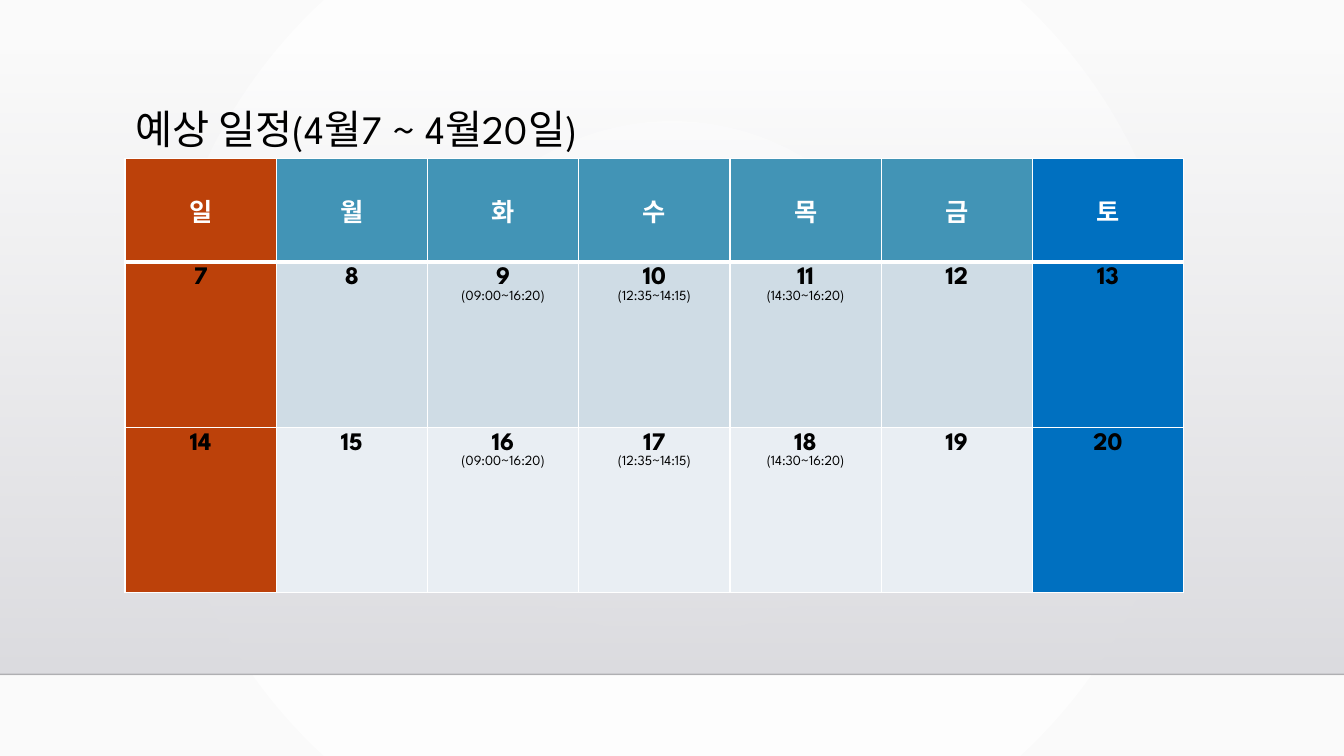
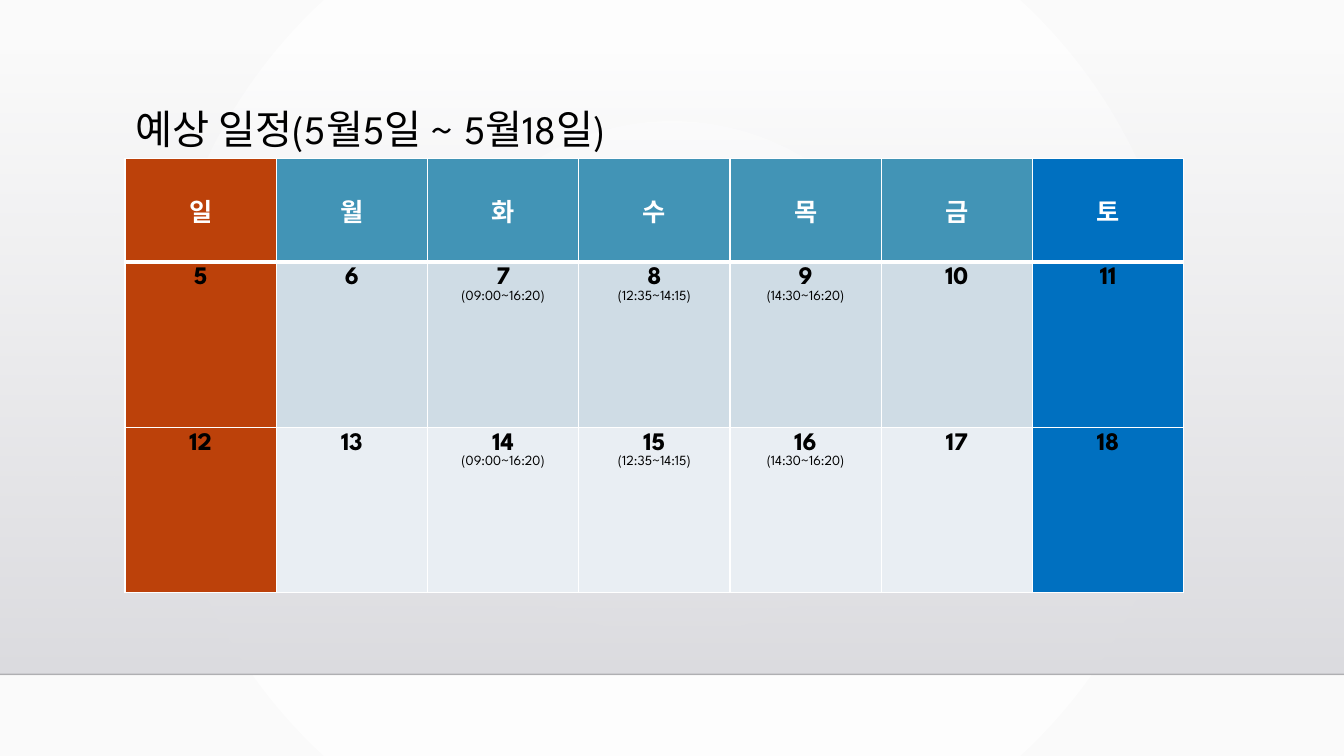
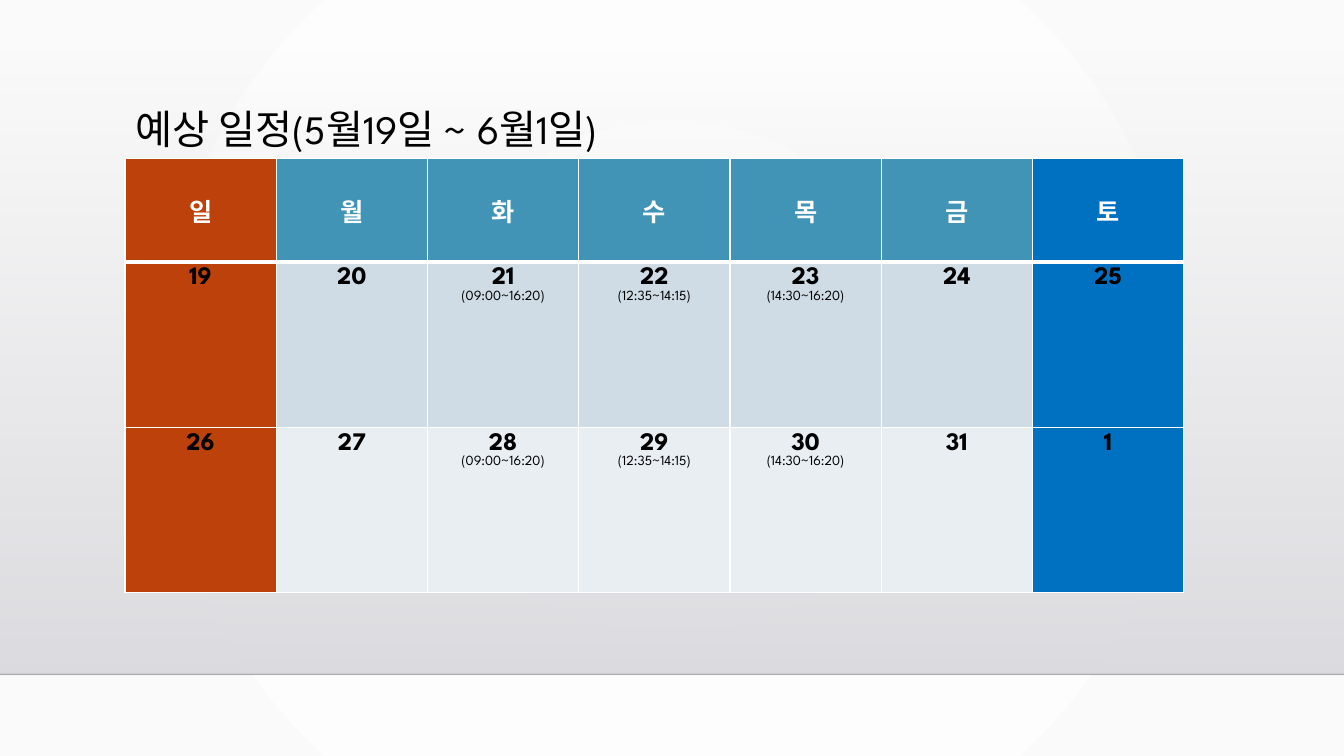
import pptx
import pptx.dml.color
import pptx.enum.shapes
import pptx.enum.text
import pptx.oxml
import pptx.oxml.ns
import pptx.util

Inches = pptx.util.Inches
Pt = pptx.util.Pt
RGBColor = pptx.dml.color.RGBColor
Anchor = pptx.enum.text.MSO_ANCHOR
Align = pptx.enum.text.PP_ALIGN

BLACK = RGBColor(0x00, 0x00, 0x00)
WHITE = RGBColor(0xFF, 0xFF, 0xFF)
PAPER = RGBColor(0xFA, 0xFA, 0xFA)
BAND_TOP = RGBColor(0xDC, 0xDC, 0xE0)
BAND_BOTTOM = RGBColor(0xDE, 0xDE, 0xE2)
SUNDAY = RGBColor(0xBC, 0x41, 0x0A)
SATURDAY = RGBColor(0x00, 0x70, 0xC0)
HEADER = RGBColor(0x42, 0x94, 0xB6)
WEEK_FILLS = (RGBColor(0xCF, 0xDC, 0xE5), RGBColor(0xE9, 0xEE, 0xF3))

FONT = "League Spartan"
SLIDE_WIDTH, SLIDE_HEIGHT = 13.33, 7.5
BAND_Y, FLOOR_Y = 0.51, 6.69
LEFT, WIDTH = 1.24, 10.5
TITLE_Y, TABLE_Y = 1.04, 1.57
ROW_HEIGHTS = (1.03, 1.64, 1.64)

WEEKDAYS = "일월화수목금토"
HOURS = {2: "(09:00~16:20)", 3: "(12:35~14:15)", 4: "(14:30~16:20)"}
# Title, first Sunday, days in that month
PERIODS = (
    ("예상 일정(4월7 ~ 4월20일)", 7, 30),
    ("예상 일정(5월5일 ~ 5월18일)", 5, 31),
    ("예상 일정(5월19일 ~ 6월1일)", 19, 31),
)


def gradient(color_stops, direction):
    """Return a gradFill element; each stop is (percent, colour, alpha percent)."""
    stops = "".join(
        f'<a:gs pos="{percent * 1000}"><a:srgbClr val="{color}">'
        f'<a:alpha val="{alpha * 1000}"/></a:srgbClr></a:gs>'
        for percent, color, alpha in color_stops
    )
    return (
        f'<a:gradFill {pptx.oxml.ns.nsdecls("a")} rotWithShape="1">'
        f"<a:gsLst>{stops}</a:gsLst>{direction}</a:gradFill>"
    )


class ScheduleDeck:
    """Holds the deck, its shared style and the current page."""

    def __init__(self):
        self.deck = pptx.Presentation()
        self.deck.slide_width = Inches(SLIDE_WIDTH)
        self.deck.slide_height = Inches(SLIDE_HEIGHT)
        self.layout = self.deck.slide_layouts.get_by_name("Title Only")
        self.page = None
        self.set_background()

    def set_background(self):
        fill = gradient(
            ((0, WHITE, 100), (100, PAPER, 100)),
            '<a:path path="circle"><a:fillToRect l="50000" t="50000" '
            'r="50000" b="50000"/></a:path>',
        )
        background = pptx.oxml.parse_xml(
            f'<p:bg {pptx.oxml.ns.nsdecls("p", "a")}><p:bgPr>{fill}'
            "<a:effectLst/></p:bgPr></p:bg>"
        )
        self.layout.element.cSld.insert(0, background)

    def add_page(self, title):
        self.page = self.deck.slides.add_slide(self.layout)
        if len(self.deck.slides) == 1:
            self.move_to_layout(self.add_band(), self.add_floor_line())
        self.set_title(title)

    def add_band(self):
        band = self.page.shapes.add_shape(
            pptx.enum.shapes.MSO_SHAPE.RECTANGLE,
            Inches(0), Inches(BAND_Y), Inches(SLIDE_WIDTH), Inches(FLOOR_Y - BAND_Y),
        )
        band.shadow.inherit = False
        band.line.fill.background()
        fill = gradient(
            ((0, BAND_TOP, 0), (100, BAND_BOTTOM, 100)),
            '<a:lin ang="5400000" scaled="0"/>',
        )
        geometry = band.element.spPr.find(pptx.oxml.ns.qn("a:prstGeom"))
        geometry.addnext(pptx.oxml.parse_xml(fill))
        return band

    def add_floor_line(self):
        floor = self.page.shapes.add_connector(
            pptx.enum.shapes.MSO_CONNECTOR.STRAIGHT,
            Inches(0), Inches(FLOOR_Y), Inches(SLIDE_WIDTH), Inches(FLOOR_Y),
        )
        floor.line.width = Pt(1)
        floor.line.color.rgb = BLACK
        properties = floor.element.spPr
        color = properties.xpath(".//a:srgbClr")[0]
        pptx.oxml.ns.qn("a:alpha")
        color.append(pptx.oxml.parse_xml(
            f'<a:alpha {pptx.oxml.ns.nsdecls("a")} val="20000"/>'))
        properties.append(pptx.oxml.parse_xml(
            f'<a:effectLst {pptx.oxml.ns.nsdecls("a")}/>'))
        return floor

    def move_to_layout(self, *shapes):
        """Put shapes at the back of the layout, so that every page shows them."""
        tree = self.layout.element.cSld.spTree
        for position, shape in enumerate(shapes):
            shape.element.xpath(".//p:cNvPr")[0].set("id", str(100 + position))
            tree.insert(2 + position, shape.element)

    def set_title(self, text):
        title = self.page.shapes.title
        title.left, title.top = Inches(LEFT), Inches(TITLE_Y)
        title.width, title.height = Inches(WIDTH), Inches(TABLE_Y - TITLE_Y)
        frame = title.text_frame
        frame.text = text
        frame.auto_size = pptx.enum.text.MSO_AUTO_SIZE.NONE
        frame.vertical_anchor = Anchor.MIDDLE
        para = frame.paragraphs[0]
        para.alignment = Align.LEFT
        para.line_spacing = 0.9
        self.set_font(para, 28.8, BLACK, False)

    def set_font(self, para, size, color, bold):
        para.font.name = FONT
        para.font.size = Pt(size)
        para.font.color.rgb = color
        para.font.bold = bold

    def add_calendar(self, first_day, month_length):
        table = self.page.shapes.add_table(
            len(ROW_HEIGHTS), len(WEEKDAYS),
            Inches(LEFT), Inches(TABLE_Y), Inches(WIDTH), Inches(sum(ROW_HEIGHTS)),
        ).table
        table.horz_banding = False
        for row, height in zip(table.rows, ROW_HEIGHTS):
            row.height = Inches(height)
        for column, weekday in enumerate(WEEKDAYS):
            header = table.cell(0, column)
            self.fill_cell(header, column, HEADER, weekday, WHITE)
            header.vertical_anchor = Anchor.MIDDLE
            self.set_borders(header, bottom=3)
            for week, week_fill in enumerate(WEEK_FILLS):
                day = (first_day + 7 * week + column - 1) % month_length + 1
                cell = table.cell(week + 1, column)
                self.fill_cell(cell, column, week_fill, str(day), BLACK)
                if column in HOURS:
                    para = cell.text_frame.add_paragraph()
                    para.text = HOURS[column]
                    para.alignment = Align.CENTER
                    self.set_font(para, 10, BLACK, False)
                self.set_borders(cell, top=3 if week == 0 else 1)

    def fill_cell(self, cell, column, weekday_fill, text, color):
        """Write one bold line; the weekend columns keep their own fill."""
        cell.fill.solid()
        cell.fill.fore_color.rgb = {0: SUNDAY, 6: SATURDAY}.get(column, weekday_fill)
        cell.text = text
        para = cell.text_frame.paragraphs[0]
        para.alignment = Align.CENTER
        self.set_font(para, 18, color, True)

    def set_borders(self, cell, top=1, bottom=1):
        properties = cell._tc.get_or_add_tcPr()
        widths = (("lnL", 1), ("lnR", 1), ("lnT", top), ("lnB", bottom))
        for position, (side, width) in enumerate(widths):
            properties.insert(position, pptx.oxml.parse_xml(
                f'<a:{side} {pptx.oxml.ns.nsdecls("a")} w="{Pt(width)}">'
                f'<a:solidFill><a:srgbClr val="{WHITE}"/></a:solidFill></a:{side}>'))


def main():
    schedule = ScheduleDeck()
    for title, first_day, month_length in PERIODS:
        schedule.add_page(title)
        schedule.add_calendar(first_day, month_length)
    schedule.deck.save("out.pptx")


if __name__ == "__main__":
    main()
